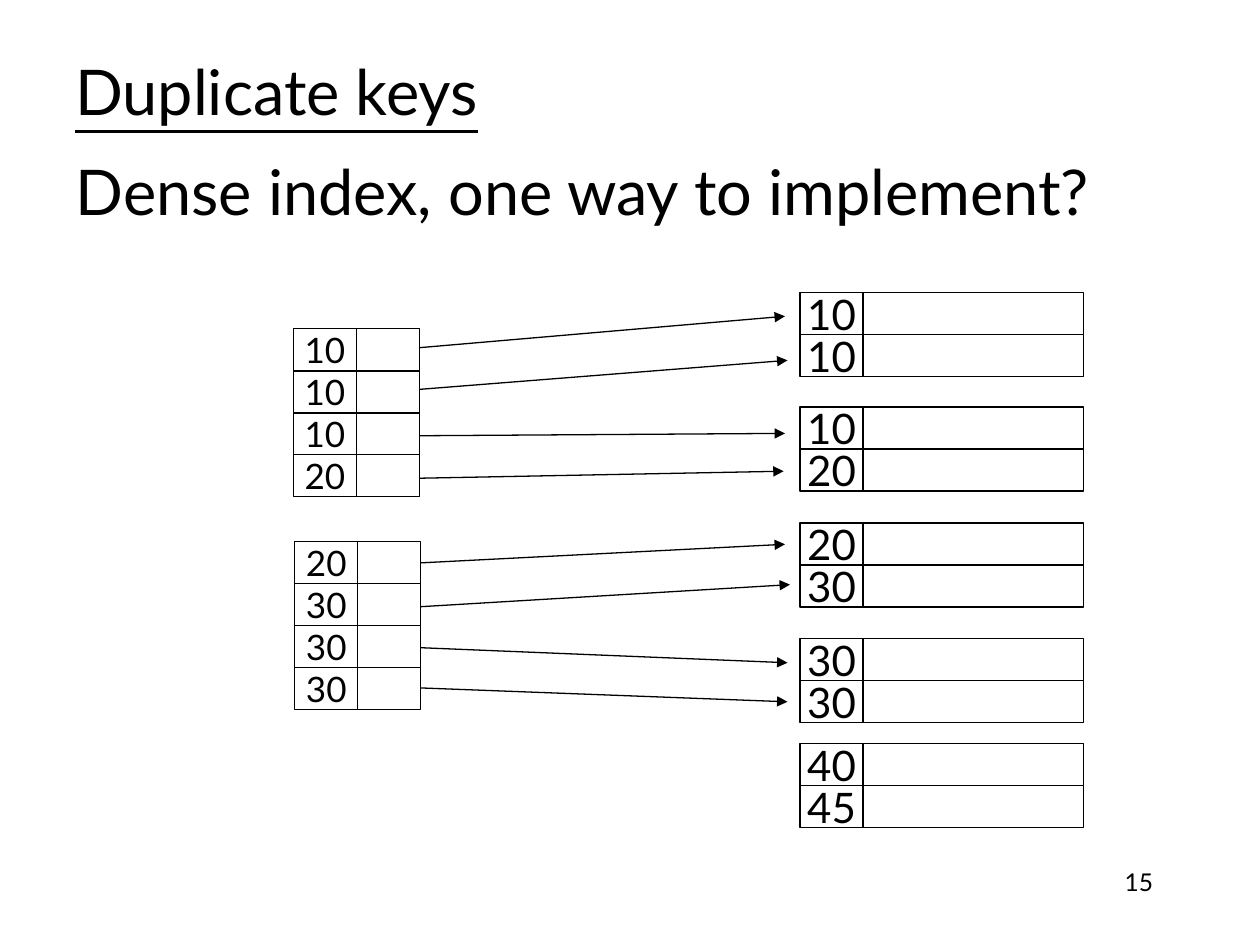
import pptx
import pptx.dml.color
import pptx.enum.shapes
import pptx.enum.text
import pptx.oxml
import pptx.oxml.ns
import pptx.util
from pptx.util import Inches

BLACK = pptx.dml.color.RGBColor(0x00, 0x00, 0x00)
WHITE = pptx.dml.color.RGBColor(0xFF, 0xFF, 0xFF)
ALIGN = pptx.enum.text.PP_ALIGN
ANCHOR = pptx.enum.text.MSO_ANCHOR

ROW_HEIGHT = 1 / 3
KEY_WIDTH = 0.5
RECORD_LEFT = 6.35
RECORD_WIDTH = 1.75
POINTER_WIDTH = 0.5

DATA_BLOCKS = [
    (2.32, ["10", "10"]),
    (3.23, ["10", "20"]),
    (4.15, ["20", "30"]),
    (5.07, ["30", "30"]),
    (5.9, ["40", "45"]),
]
INDEX_BLOCKS = [
    (2.33, 2.61, ["10", "10", "10", "20"]),
    (2.34, 4.3, ["20", "30", "30", "30"]),
]
POINTERS = [
    (3.09, 2.78, 6.23, 2.51),
    (3.08, 3.11, 6.25, 2.86),
    (3.08, 3.46, 6.23, 3.44),
    (3.09, 3.8, 6.22, 3.74),
    (3.09, 4.48, 6.23, 4.32),
    (3.09, 4.83, 6.27, 4.64),
    (3.08, 5.13, 6.25, 5.26),
    (3.08, 5.45, 6.25, 5.57),
]


class SlideBuilder:
    font = "Lato"
    line_width = pptx.util.Pt(0.75)

    def __init__(self, page):
        self.page = page

    def add_span(self, frame, text, size, align=ALIGN.LEFT, underline=None):
        para = frame.paragraphs[0]
        para.alignment = align
        span = para.add_run()
        span.text = text
        span.font.name = self.font
        span.font.size = pptx.util.Pt(size)
        span.font.color.rgb = BLACK
        span.font.underline = underline

    def title(self, left, top, width, height, text, size):
        box = self.page.shapes.title
        box.left, box.top = Inches(left), Inches(top)
        box.width, box.height = Inches(width), Inches(height)
        frame = box.text_frame
        frame.auto_size = pptx.enum.text.MSO_AUTO_SIZE.NONE
        frame.vertical_anchor = ANCHOR.MIDDLE
        self.add_span(frame, text, size)

    def text(self, left, top, width, height, text, size,
             align=ALIGN.LEFT, anchor=ANCHOR.TOP, underline=None):
        box = self.page.shapes.add_textbox(
            Inches(left), Inches(top), Inches(width), Inches(height))
        frame = box.text_frame
        frame.word_wrap = True
        frame.vertical_anchor = anchor
        self.add_span(frame, text, size, align, underline)

    def arrow(self, start_x, start_y, end_x, end_y):
        arrow = self.page.shapes.add_connector(
            pptx.enum.shapes.MSO_CONNECTOR.STRAIGHT,
            Inches(start_x), Inches(start_y), Inches(end_x), Inches(end_y))
        arrow.line.color.rgb = BLACK
        arrow.line.width = self.line_width
        line = arrow.line._get_or_add_ln()
        head = pptx.oxml.ns.qn("a:tailEnd")
        line.append(line.makeelement(head, {"type": "triangle"}))
        properties = arrow._element.spPr
        effects = pptx.oxml.ns.qn("a:effectLst")
        properties.append(properties.makeelement(effects, {}))

    def cell(self, shapes, left, top, width, text="", size=20):
        box = shapes.add_shape(
            pptx.enum.shapes.MSO_SHAPE.RECTANGLE,
            Inches(left), Inches(top), Inches(width), Inches(ROW_HEIGHT))
        box.shadow.inherit = False
        box.fill.solid()
        box.fill.fore_color.rgb = WHITE
        box.line.color.rgb = BLACK
        box.line.width = self.line_width
        if text:
            frame = box.text_frame
            frame.word_wrap = False
            frame.vertical_anchor = ANCHOR.MIDDLE
            frame.margin_top = frame.margin_bottom = 0
            self.add_span(frame, text, size, ALIGN.CENTER)

    def block(self, left, top, keys, value_width, size):
        group = self.page.shapes.add_group_shape()
        for row, key in enumerate(keys):
            row_top = top + row * ROW_HEIGHT
            self.cell(group.shapes, left, row_top, KEY_WIDTH, key, size)
            self.cell(group.shapes, left + KEY_WIDTH, row_top, value_width)


def main():
    deck = pptx.Presentation()
    deck.slide_width = Inches(10)
    deck.slide_height = Inches(7.5)
    page = deck.slides.add_slide(deck.slide_layouts[5])
    builder = SlideBuilder(page)

    builder.title(0.5, 1, 8.67, 1.02, "Dense index, one way to implement?", 36)
    builder.text(0.5, 0.33, 3.67, 0.77, "Duplicate keys", 36,
                 anchor=ANCHOR.MIDDLE, underline=True)
    builder.text(7.17, 6.83, 2.08, 0.5, "15", 14, align=ALIGN.RIGHT)

    for pointer in POINTERS:
        builder.arrow(*pointer)
    for top, keys in DATA_BLOCKS:
        builder.block(RECORD_LEFT, top, keys, RECORD_WIDTH, 24)
    for left, top, keys in INDEX_BLOCKS:
        builder.block(left, top, keys, POINTER_WIDTH, 20)

    deck.save("out.pptx")


if __name__ == "__main__":
    main()
